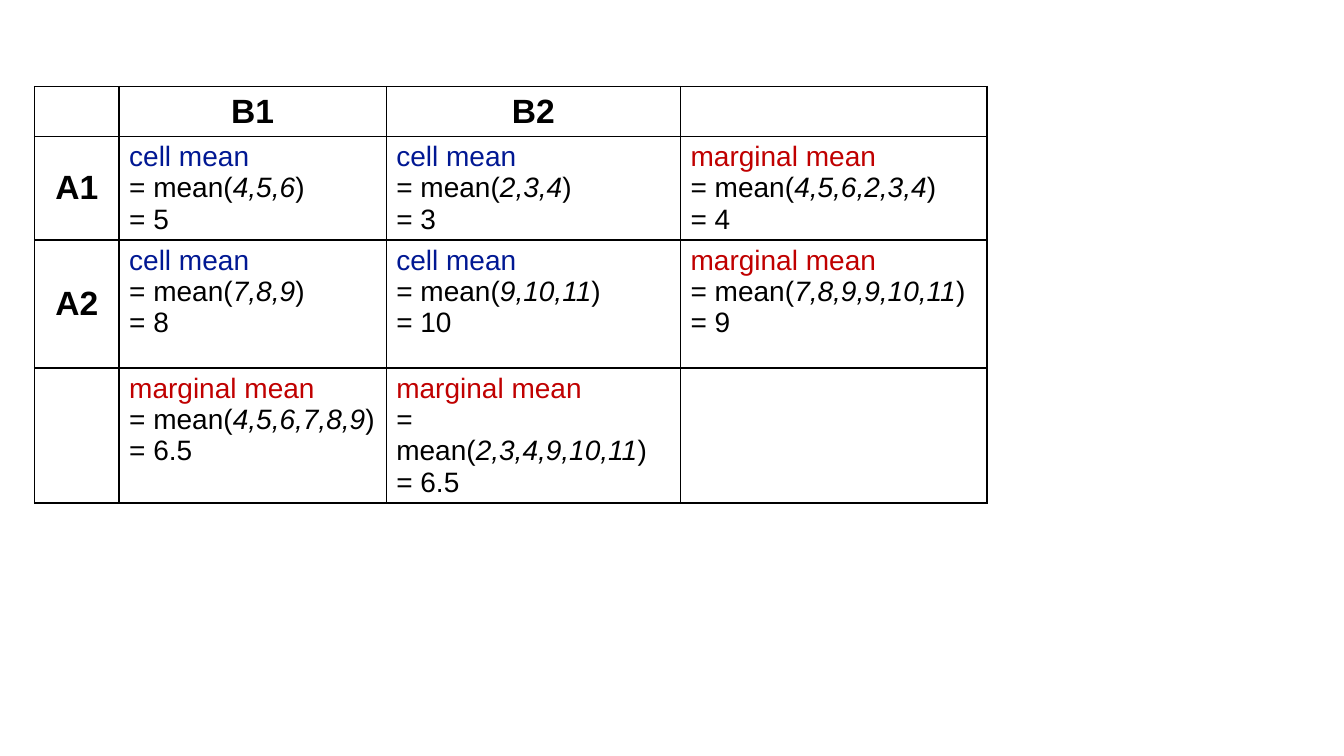
from lxml import etree
from pptx import Presentation, util as u
from pptx.dml import color
from pptx.enum import text
from pptx.oxml import ns

BLACK, BLUE, RED = "000000", "011893", "C00000"
COLUMN_WIDTHS = [60.48, 190.8, 210.24, 218.88]
ROW_HEIGHTS = [35.5, 74.2, 91.44, 96.4]
HEADINGS = {(0, 1): "B1", (0, 2): "B2", (1, 0): "A1", (2, 0): "A2"}
MEANS = {
    (1, 1): [4, 5, 6],
    (1, 2): [2, 3, 4],
    (1, 3): [4, 5, 6, 2, 3, 4],
    (2, 1): [7, 8, 9],
    (2, 2): [9, 10, 11],
    (2, 3): [7, 8, 9, 9, 10, 11],
    (3, 1): [4, 5, 6, 7, 8, 9],
    (3, 2): [2, 3, 4, 9, 10, 11],
}
HEADING = {"size": u.Pt(24), "bold": True}
BODY = {"size": u.Pt(20), "bold": False}
SCORES = {**BODY, "italic": True}


def paint(target, hex_color):
    target.rgb = color.RGBColor.from_string(hex_color)


def add_run(paragraph, words, formats, hex_color=BLACK):
    run = paragraph.add_run()
    run.text = words
    for name, value in {"name": "Arial", **formats}.items():
        setattr(run.font, name, value)
    paint(run.font.color, hex_color)


def add_borders(cell):
    properties = cell._tc.get_or_add_tcPr()
    for position, side in enumerate(("lnL", "lnR", "lnT", "lnB")):
        border = etree.Element(ns.qn(f"a:{side}"), w=str(u.Pt(1)))
        fill = etree.SubElement(border, ns.qn("a:solidFill"))
        etree.SubElement(fill, ns.qn("a:srgbClr"), val=BLACK)
        properties.insert(position, border)


def write_heading(cell, words):
    cell.vertical_anchor = text.MSO_ANCHOR.MIDDLE
    paragraph = cell.text_frame.paragraphs[0]
    paragraph.alignment = text.PP_ALIGN.CENTER
    add_run(paragraph, words, HEADING)


def write_mean(cell, scores, label, label_color):
    frame = cell.text_frame
    add_run(frame.paragraphs[0], label, BODY, label_color)
    formula = frame.add_paragraph()
    add_run(formula, "= mean(", BODY)
    add_run(formula, ",".join(map(str, scores)), SCORES)
    add_run(formula, ")", BODY)
    add_run(frame.add_paragraph(), f"= {sum(scores) / len(scores):g}", BODY)


def add_means_table(slide):
    means_table = slide.shapes.add_table(
        len(ROW_HEIGHTS), len(COLUMN_WIDTHS), u.Pt(24.6), u.Pt(61.8),
        u.Pt(sum(COLUMN_WIDTHS)), u.Pt(sum(ROW_HEIGHTS))).table
    means_table.first_row = means_table.horz_banding = False
    for column, width in zip(means_table.columns, COLUMN_WIDTHS):
        column.width = u.Pt(width)
    for row, height in zip(means_table.rows, ROW_HEIGHTS):
        row.height = u.Pt(height)
    for cell in means_table.iter_cells():
        cell.fill.background()
        add_borders(cell)
    for place, words in HEADINGS.items():
        write_heading(means_table.cell(*place), words)
    for place, scores in MEANS.items():
        is_marginal = 3 in place
        write_mean(means_table.cell(*place), scores,
                   "marginal mean" if is_marginal else "cell mean",
                   RED if is_marginal else BLUE)


def main():
    deck = Presentation()
    deck.slide_width, deck.slide_height = u.Pt(960), u.Pt(540)
    slide = deck.slides.add_slide(deck.slide_layouts[6])
    add_means_table(slide)
    deck.save("out.pptx")


if __name__ == "__main__":
    main()
